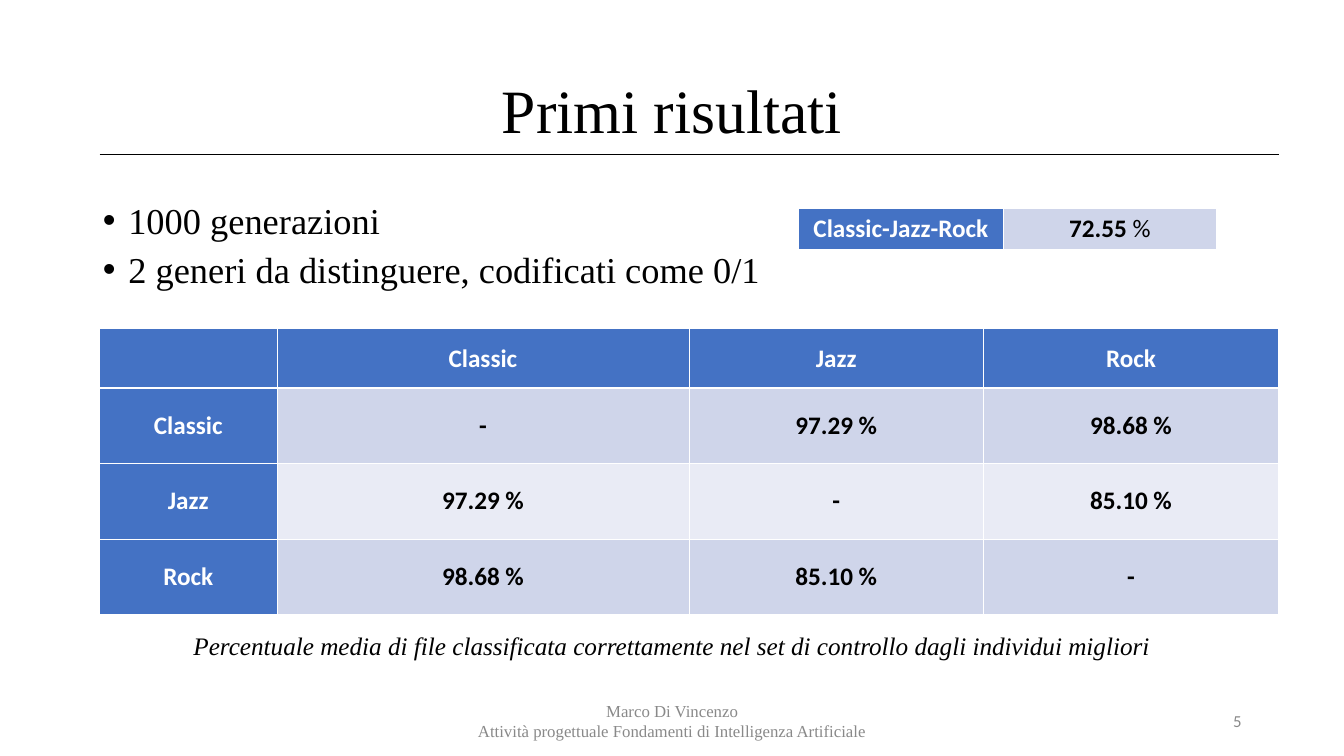
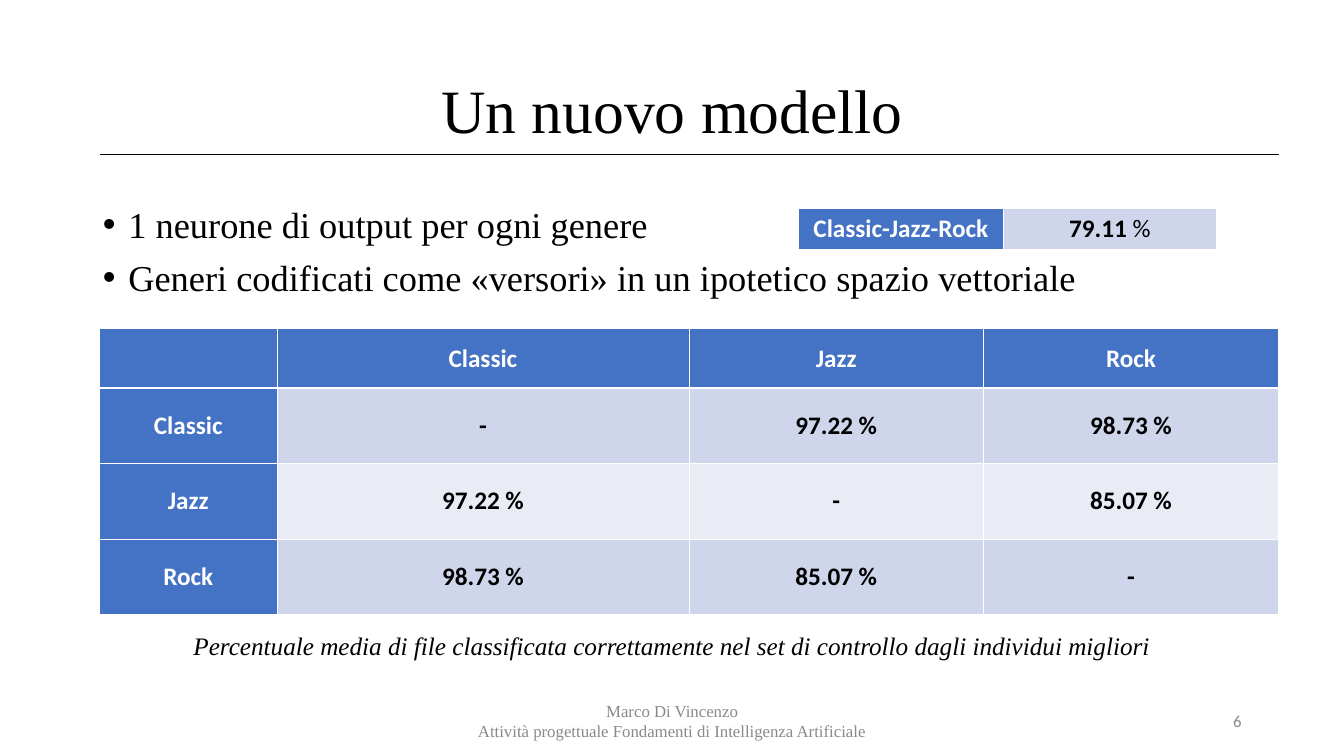
from pptx import Presentation
from pptx.dml.color import RGBColor
from pptx.enum.shapes import MSO_CONNECTOR
from pptx.enum.text import MSO_ANCHOR as Anchor, MSO_AUTO_SIZE as AutoSize, PP_ALIGN as Align
from pptx.oxml.ns import qn
from pptx.util import Cm, Pt
from lxml.etree import SubElement

color = RGBColor.from_string
BLACK, WHITE, GRAY = "000000", "FFFFFF", "898989"
HEADER, BANDS = "4472C4", ("CFD5EA", "E9EBF5")
SERIF, SANS = "Times New Roman", "Calibri"
GENRES = ("Classic", "Jazz", "Rock")
FOOTER = ("Marco Di Vincenzo", "Attività progettuale Fondamenti di Intelligenza Artificiale")
CAPTION = "Percentuale media di file classificata correttamente nel set di controllo dagli individui migliori"
SLIDES = (
    {
        "number": 5,
        "title": "Primi risultati",
        "bullets": ("1000 generazioni", "2 generi da distinguere, codificati come 0/1"),
        "body_size": (23.16, 2.51),
        "line_spacing": 0.8,
        "overall": "72.55",
        "pair_rates": ("97.29 %", "98.68 %", "85.10 %"),
    },
    {
        "number": 6,
        "title": "Un nuovo modello",
        "bullets": (
            "1 neurone di output per ogni genere",
            "Generi codificati come «versori» in un ipotetico spazio vettoriale",
        ),
        "body_size": (29.21, 3.02),
        "line_spacing": 0.9,
        "overall": "79.11",
        "pair_rates": ("97.22 %", "98.73 %", "85.07 %"),
    },
)


def write(frame, text, size=18, font=SERIF, fill=BLACK, bold=False, italic=False,
          align=Align.CENTER, spacing=None, before=0, same_paragraph=False):
    paragraph = frame.paragraphs[-1]
    if paragraph.runs and not same_paragraph:
        paragraph = frame.add_paragraph()
    paragraph.alignment = align
    paragraph.line_spacing = spacing
    paragraph.space_before = Pt(before)
    run = paragraph.add_run()
    run.text = text
    run.font.size = Pt(size)
    run.font.name = font
    run.font.bold = bold
    run.font.italic = italic
    run.font.color.rgb = color(fill)
    return paragraph


def add_grid(slide, left, top, widths, heights, rows, header_rows, anchor):
    table = slide.shapes.add_table(
        len(rows), len(widths), Cm(left), Cm(top), Cm(sum(widths)), Cm(sum(heights))
    ).table
    table.first_row = table.horz_banding = False
    for column, width in zip(table.columns, widths):
        column.width = Cm(width)
    for row, height in zip(table.rows, heights):
        row.height = Cm(height)
    for r, texts in enumerate(rows):
        for c, text in enumerate(texts):
            cell = table.cell(r, c)
            cell.vertical_anchor = anchor
            properties = cell._tc.get_or_add_tcPr()
            for side in "LRTB":
                thick = header_rows and (side, r) in (("B", 0), ("T", 1))
                border = SubElement(properties, qn(f"a:ln{side}"), w=str(Pt(1.5 if thick else 0.5)))
                SubElement(SubElement(border, qn("a:solidFill")), qn("a:srgbClr"), val=WHITE)
            is_header = r < header_rows or c == 0
            cell.fill.solid()
            cell.fill.fore_color.rgb = color(HEADER if is_header else BANDS[(r - header_rows) % 2])
            if text:
                write(cell.text_frame, text, font=SANS, fill=WHITE if is_header else BLACK, bold=True)
    return table


presentation = Presentation()
presentation.slide_width, presentation.slide_height = Cm(33.88), Cm(19.05)

for content in SLIDES:
    slide = presentation.slides.add_slide(presentation.slide_layouts[1])
    title, body = slide.shapes.title, slide.placeholders[1]

    title.left, title.top, title.width, title.height = Cm(2.34), Cm(1.02), Cm(29.21), Cm(3.68)
    title.text_frame.auto_size = AutoSize.NONE
    title.text_frame.vertical_anchor = Anchor.MIDDLE
    write(title.text_frame, content["title"], size=44, spacing=0.9)

    body.left, body.top = Cm(2.34), Cm(5.08)
    body.width, body.height = (Cm(length) for length in content["body_size"])
    body.text_frame.auto_size = AutoSize.NONE
    for bullet in content["bullets"]:
        paragraph = write(body.text_frame, bullet, size=26, align=Align.LEFT,
                          spacing=content["line_spacing"], before=10)
        properties = paragraph._p.get_or_add_pPr()
        properties.set("marL", str(Cm(0.64)))
        properties.set("indent", str(-Cm(0.64)))
        SubElement(properties, qn("a:buFont"), typeface="Arial")
        SubElement(properties, qn("a:buChar"), char="•")

    rule = slide.shapes.add_connector(MSO_CONNECTOR.STRAIGHT, Cm(2.51), Cm(3.89), Cm(32.23), Cm(3.89))
    rule.line.color.rgb = color(BLACK)
    rule.line.width = Pt(0.5)
    SubElement(rule._element.spPr, qn("a:effectLst"))

    rates = [("", *GENRES)]
    for i, genre in enumerate(GENRES):
        rates.append((genre, *("-" if i == j else content["pair_rates"][i + j - 1] for j in range(3))))
    add_grid(slide, 2.51, 8.28, (4.47, 10.39, 7.42, 7.44), (1.5, 1.9, 1.9, 1.9), rates, 1, Anchor.MIDDLE)
    overall = add_grid(slide, 20.12, 5.26, (5.18, 5.36), (1.02,),
                       [("Classic-Jazz-Rock", content["overall"])], 0, Anchor.TOP)
    write(overall.cell(0, 1).text_frame, " %", font=SANS, same_paragraph=True)

    for left, top, width, anchor, lines, text_format in (
        (3.68, 15.77, 26.52, Anchor.TOP, (CAPTION,), {"italic": True}),
        (11.23, 17.65, 11.43, Anchor.MIDDLE, FOOTER, {"size": 12, "fill": GRAY}),
        (23.93, 17.65, 7.62, Anchor.MIDDLE, (str(content["number"]),),
         {"size": 12, "font": SANS, "fill": GRAY, "align": Align.RIGHT}),
    ):
        frame = slide.shapes.add_textbox(Cm(left), Cm(top), Cm(width), Cm(1.02)).text_frame
        frame.word_wrap = True
        frame.vertical_anchor = anchor
        for line in lines:
            write(frame, line, **text_format)

presentation.save("out.pptx")
